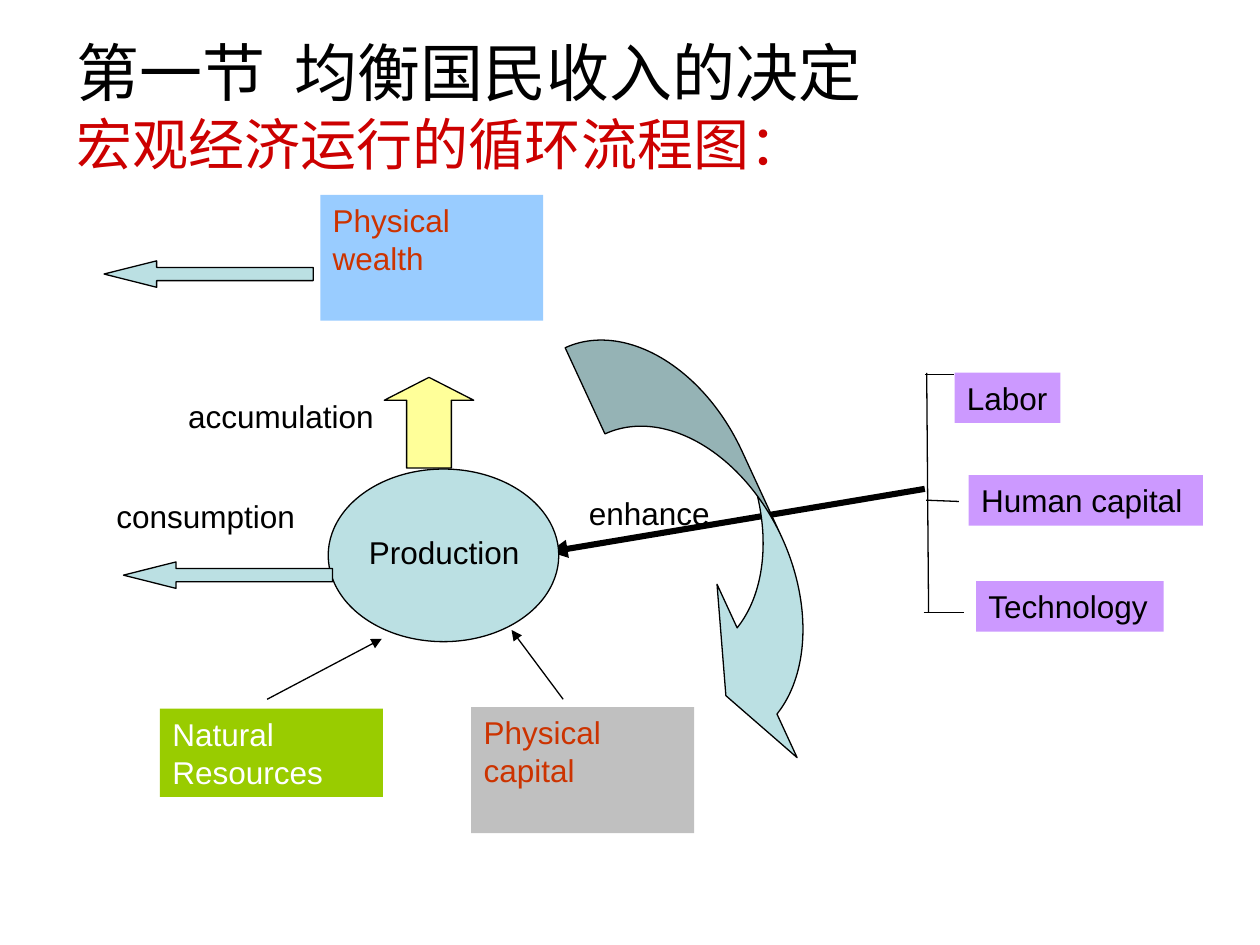
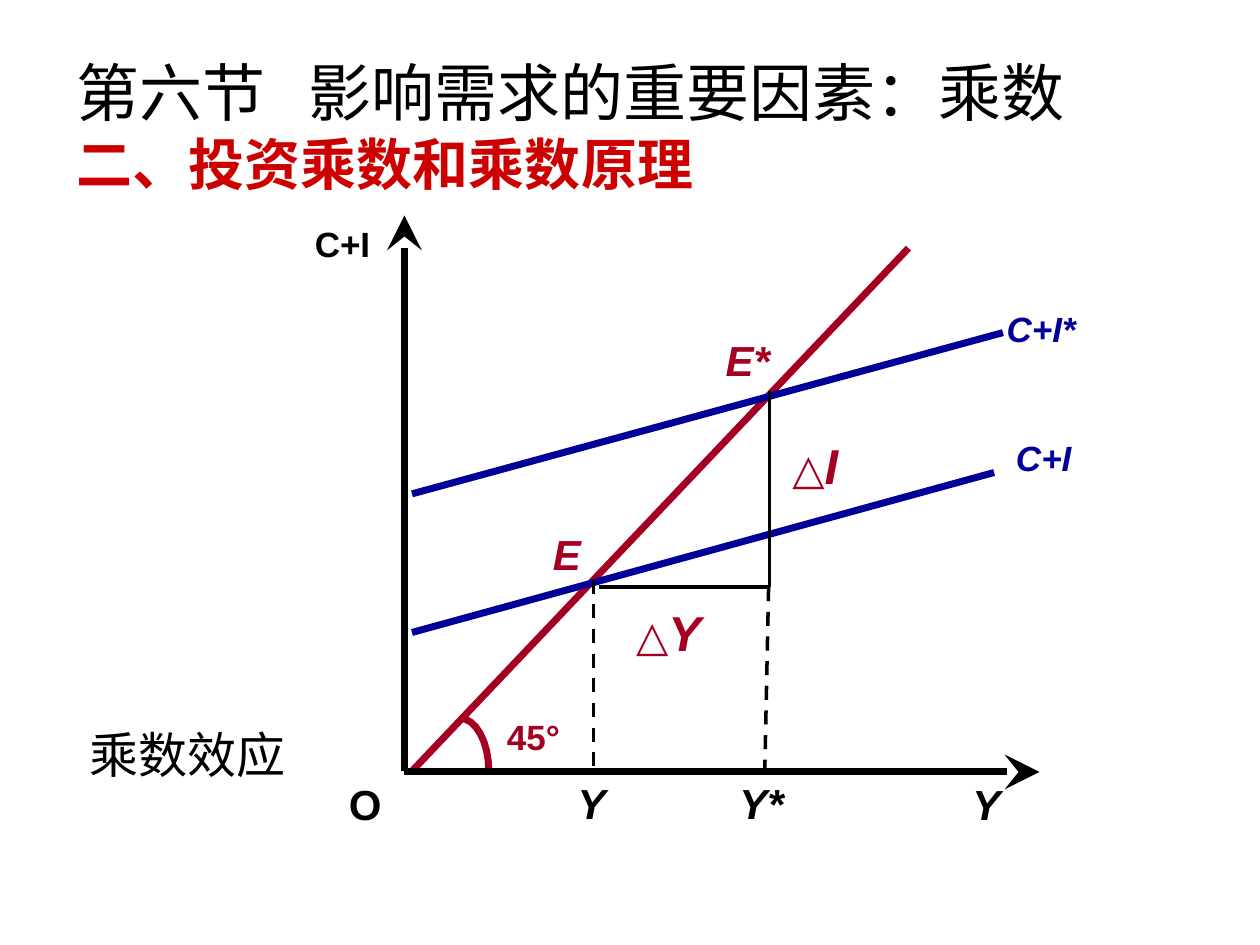
"""Build two macroeconomics slides: the circular flow and the multiplier."""
from math import cos, pi, sin

from lxml import etree
from pptx import Presentation
from pptx.dml.color import RGBColor
from pptx.enum.dml import MSO_LINE
from pptx.enum.shapes import MSO_CONNECTOR, MSO_SHAPE
from pptx.enum.text import MSO_ANCHOR, MSO_AUTO_SIZE, PP_ALIGN
from pptx.oxml.ns import qn
from pptx.util import Inches, Pt

STRAIGHT = MSO_CONNECTOR.STRAIGHT
DASH = MSO_LINE.DASH
RECTANGLE, ELLIPSE = MSO_SHAPE.RECTANGLE, MSO_SHAPE.OVAL
UP_ARROW, LEFT_ARROW = MSO_SHAPE.UP_ARROW, MSO_SHAPE.LEFT_ARROW
CURVED_ARROW = MSO_SHAPE.CURVED_LEFT_ARROW
TOP, MIDDLE = MSO_ANCHOR.TOP, MSO_ANCHOR.MIDDLE
LEFT, NO_FIT = PP_ALIGN.LEFT, MSO_AUTO_SIZE.NONE

COLUMNS, ROWS = 100, 75
CELL = Inches(0.1)
LATIN, CHINESE = "Arial", "Noto Sans CJK SC"
BLACK, WHITE, RED = "000000", "FFFFFF", "CC0000"
TEAL, PURPLE, RUST = "BBE0E3", "CC99FF", "CC3300"
CRIMSON, NAVY = "A50021", "000099"


def color(hex_code):
    """Turn a hex string into a colour."""
    return RGBColor.from_string(hex_code)


def cells(*lengths):
    """Turn grid cells into slide lengths."""
    return [round(length * CELL) for length in lengths]


def set_font(font, size, hex_code, bold=False, italic=False, name=LATIN):
    """Format a paragraph or run font, with its Chinese typeface."""
    font.name, font.size = name, Pt(size)
    font.bold, font.italic = bold, italic
    font.color.rgb = color(hex_code)
    etree.SubElement(font._rPr, qn("a:ea"), typeface=CHINESE)


def set_outline(line, hex_code, width):
    """Give a line its colour and width."""
    line.color.rgb = color(hex_code)
    line.width = Pt(width)


def add_title(page, top, section, topic, subtitle, tab, bold=False, name=LATIN):
    """Fill the title with a section line and a red subtitle line."""
    title = page.shapes.title
    title.left, title.top, title.width, title.height = cells(5.1, top, 90, 9.4)
    frame = title.text_frame
    frame.vertical_anchor, frame.auto_size = MIDDLE, NO_FIT
    para = frame.paragraphs[0]
    para.alignment = LEFT
    tabs = etree.SubElement(para._p.get_or_add_pPr(), qn("a:tabLst"))
    etree.SubElement(tabs, qn("a:tab"), pos=str(cells(tab)[0]), algn="l")
    heading = para.add_run()
    heading.text = f"{section}\t{topic}"
    set_font(heading.font, 36, BLACK, name=name)
    para.add_line_break()
    span = para.add_run()
    span.text = subtitle
    set_font(span.font, 32, RED, bold, name=name)


def write(box, text, size, hex_code, bold=False, italic=False):
    """Write one left-aligned paragraph at the top of a box."""
    frame = box.text_frame
    frame.word_wrap = True
    frame.vertical_anchor = TOP
    frame.margin_right = Inches(0.05)
    para = frame.paragraphs[0]
    para.text, para.alignment = text, LEFT
    set_font(para.font, size, hex_code, bold, italic)


def add_label(page, text, left, top, width, size=18, hex_code=BLACK,
              bold=False, italic=False):
    """Add a plain text label."""
    box = page.shapes.add_textbox(*cells(left, top, width, 1 + size / 6))
    write(box, text, size, hex_code, bold, italic)


def add_delta(page, symbol, left, top):
    """Add a change label: a triangle and an italic symbol."""
    box = page.shapes.add_textbox(*cells(left, top, 17, 10.4))
    box.text_frame.word_wrap = True
    para = box.text_frame.paragraphs[0]
    for text, size, italic in (("△", 24, False), (symbol, 28, True)):
        span = para.add_run()
        span.text = text
        set_font(span.font, size, CRIMSON, True, italic)


def add_card(page, text, area, fill, hex_code=BLACK):
    """Add a filled rectangle with text."""
    card = page.shapes.add_shape(RECTANGLE, *cells(*area))
    card.shadow.inherit = False
    card.fill.solid()
    card.fill.fore_color.rgb = color(fill)
    card.line.fill.background()
    write(card, text, 18, hex_code)


def add_figure(page, kind, area, fill, adjustments=(), rotation=0):
    """Add a filled preset shape with a thin black outline."""
    figure = page.shapes.add_shape(kind, *cells(*area))
    figure.shadow.inherit = False
    figure.rotation = rotation
    figure.fill.solid()
    figure.fill.fore_color.rgb = color(fill)
    set_outline(figure.line, BLACK, 0.75)
    for index, value in enumerate(adjustments):
        figure.adjustments[index] = value


def add_line(page, start, end, hex_code=BLACK, width=0.75, arrow=None,
             arrow_size="med", dash=None):
    """Join two grid points, with an optional arrowhead or dash."""
    connector = page.shapes.add_connector(STRAIGHT, *cells(*start, *end))
    etree.SubElement(connector._element.spPr, qn("a:effectLst"))
    set_outline(connector.line, hex_code, width)
    if dash:
        connector.line.dash_style = dash
    if arrow:
        etree.SubElement(connector.line._get_or_add_ln(), qn("a:tailEnd"),
                         type=arrow, w=arrow_size, len=arrow_size)


def add_angle(page, left, top, width, height, pieces=8):
    """Draw a quarter ellipse that marks an angle."""
    turns = [pi / 2 * index / pieces for index in range(pieces + 1)]
    points = [cells(left + width * sin(turn), top + height * (1 - cos(turn)))
              for turn in turns]
    builder = page.shapes.build_freeform(*points[0])
    builder.add_line_segments(points[1:], close=False)
    angle = builder.convert_to_shape()
    angle.shadow.inherit = False
    angle.fill.background()
    set_outline(angle.line, CRIMSON, 4)


def build_flow(page):
    """Build the circular flow of production."""
    add_title(page, 3.65, "第一节", "均衡国民收入的决定", "宏观经济运行的循环流程图：", 17.3)
    add_card(page, "Natural Resources", (12.7, 56.25, 17.7, 7), "99CC00", WHITE)
    add_card(page, "Physical capital", (37.4, 56.13, 17.7, 10), "C0C0C0", RUST)
    add_card(page, "Physical wealth", (25.42, 15.46, 17.7, 10), "99CCFF", RUST)
    add_figure(page, UP_ARROW, (30.5, 29.95, 7.1, 7.2), "FFFF99", (0.5, 0.256))
    add_line(page, (73.4, 38.8), (43.6, 43.8), width=3.5, arrow="triangle")
    for factor, left, top, width in (("Human capital", 76.88, 37.72, 18.6),
                                     ("Labor", 75.76, 29.57, 8.4),
                                     ("Technology", 77.46, 46.13, 14.9)):
        add_card(page, factor, (left, top, width, 4), PURPLE)
    add_label(page, "enhance", 45.75, 38.75, 12.7)
    add_figure(page, CURVED_ARROW, (52.4, 23.9, 9.3, 38), TEAL,
               (0.81, 1.63, 0.33), rotation=335.2)
    add_figure(page, ELLIPSE, (26.05, 37.23, 18.3, 13.7), TEAL)
    for left, top in ((8.26, 20.7), (9.8, 44.6)):
        add_figure(page, LEFT_ARROW, (left, top, 16.6, 2.1), TEAL, (0.5, 1.99))
    for text, left, top, width in (("Production", 28.3, 41.85, 15.2),
                                   ("accumulation", 13.95, 31, 18.3),
                                   ("consumption", 8.25, 38.95, 17.5)):
        add_label(page, text, left, top, width)
    for start, end in (((21.2, 55.5), (30.3, 50.7)), ((44.7, 55.5), (40.6, 50))):
        add_line(page, start, end, arrow="triangle")
    for start, end in (((73.55, 29.6), (73.7, 48.6)), ((73.3, 48.6), (76.5, 48.6)),
                       ((73.5, 39.7), (76.1, 39.8)), ((73.4, 29.75), (75.7, 29.75))):
        add_line(page, start, end)


def build_multiplier(page):
    """Build the 45-degree diagram of the investment multiplier."""
    add_label(page, "乘数效应", 6.1, 57, 28.1, 28)
    add_title(page, 5.25, "第六节", "影响需求的重要因素：乘数", "二、投资乘数和乘数原理",
              18.4, bold=True, name=CHINESE)
    add_line(page, (32.7, 61.2), (72.1, 19.7), CRIMSON, 4)
    add_angle(page, 36.5, 57, 2.3, 4.2)
    for start, end in (((32.1, 61.2), (32.1, 17.1)), ((32.1, 61.27), (82.5, 61.27))):
        add_line(page, start, end, width=4, arrow="stealth", arrow_size="lg")
    for start, end in (((32.7, 50.2), (78.9, 37.5)), ((32.7, 39.2), (79.6, 26.4))):
        add_line(page, start, end, NAVY, 4)
    for start, end, dash in (((47.1, 46), (47.1, 61.2), DASH),
                             ((61, 46.6), (60.7, 61.2), DASH),
                             ((47.5, 46.6), (61, 46.6), None),
                             ((61.07, 46.6), (61.07, 31), None)):
        add_line(page, start, end, width=2, dash=dash)
    for text, left, top, width, size, hex_code, italic in (
            ("O", 26.7, 61.3, 4.6, 24, BLACK, False),
            ("Y", 76.2, 61.3, 13, 24, BLACK, True),
            ("Y", 44.85, 61.2, 6.8, 24, BLACK, True),
            ("Y*", 57.7, 61.2, 6.8, 24, BLACK, True),
            ("E*", 56.6, 26.05, 10.9, 24, CRIMSON, True),
            ("E", 42.9, 41.45, 10.9, 24, CRIMSON, True),
            ("45°", 39.25, 56.3, 8.6, 20, CRIMSON, False),
            ("C+I", 24, 17.2, 13, 20, BLACK, False),
            ("C+I", 79.65, 34.15, 11.2, 20, NAVY, True),
            ("C+I*", 78.9, 23.9, 12.9, 20, NAVY, True)):
        add_label(page, text, left, top, width, size, hex_code, True, italic)
    add_delta(page, "Y", 49.5, 47.3)
    add_delta(page, "I", 61.9, 34.05)


def main():
    """Build both slides and save the deck."""
    deck = Presentation()
    deck.slide_width, deck.slide_height = cells(COLUMNS, ROWS)
    title_only = deck.slide_layouts.get_by_name("Title Only")
    for build in (build_flow, build_multiplier):
        build(deck.slides.add_slide(title_only))
    deck.save("out.pptx")


if __name__ == "__main__":
    main()
